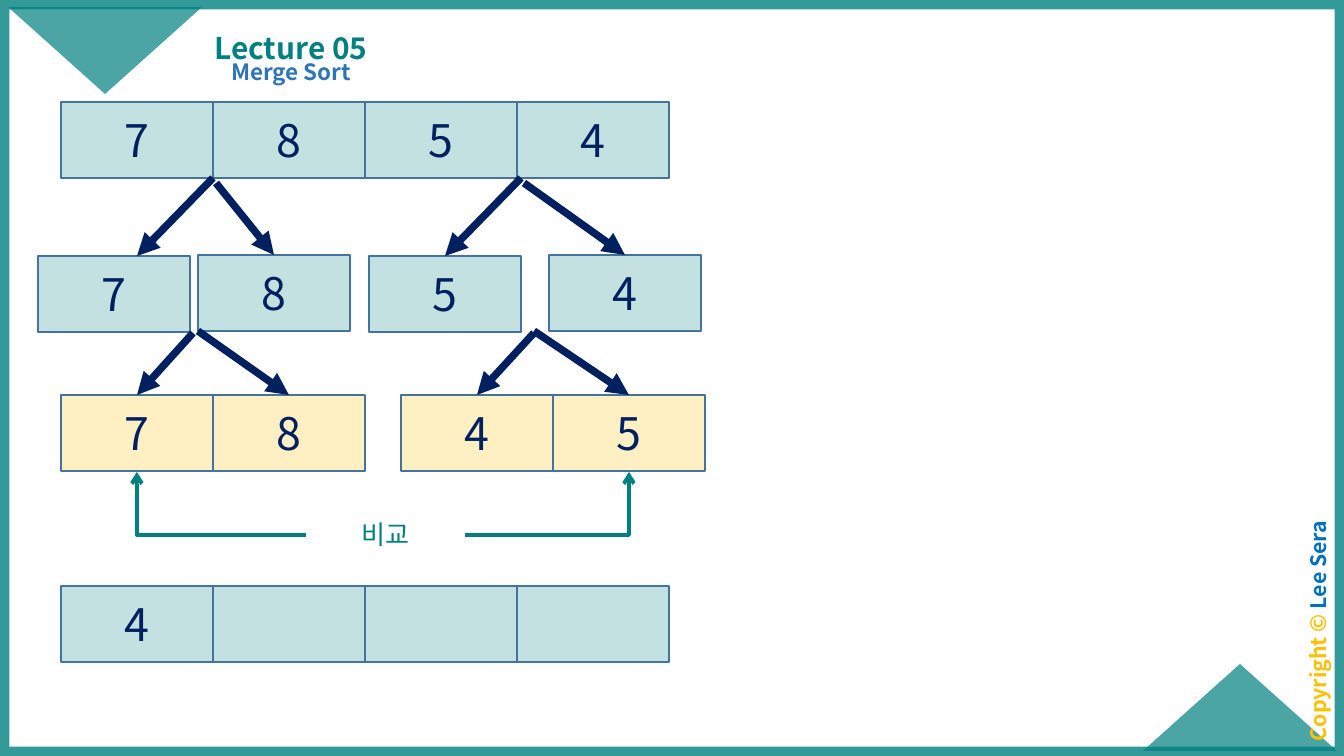
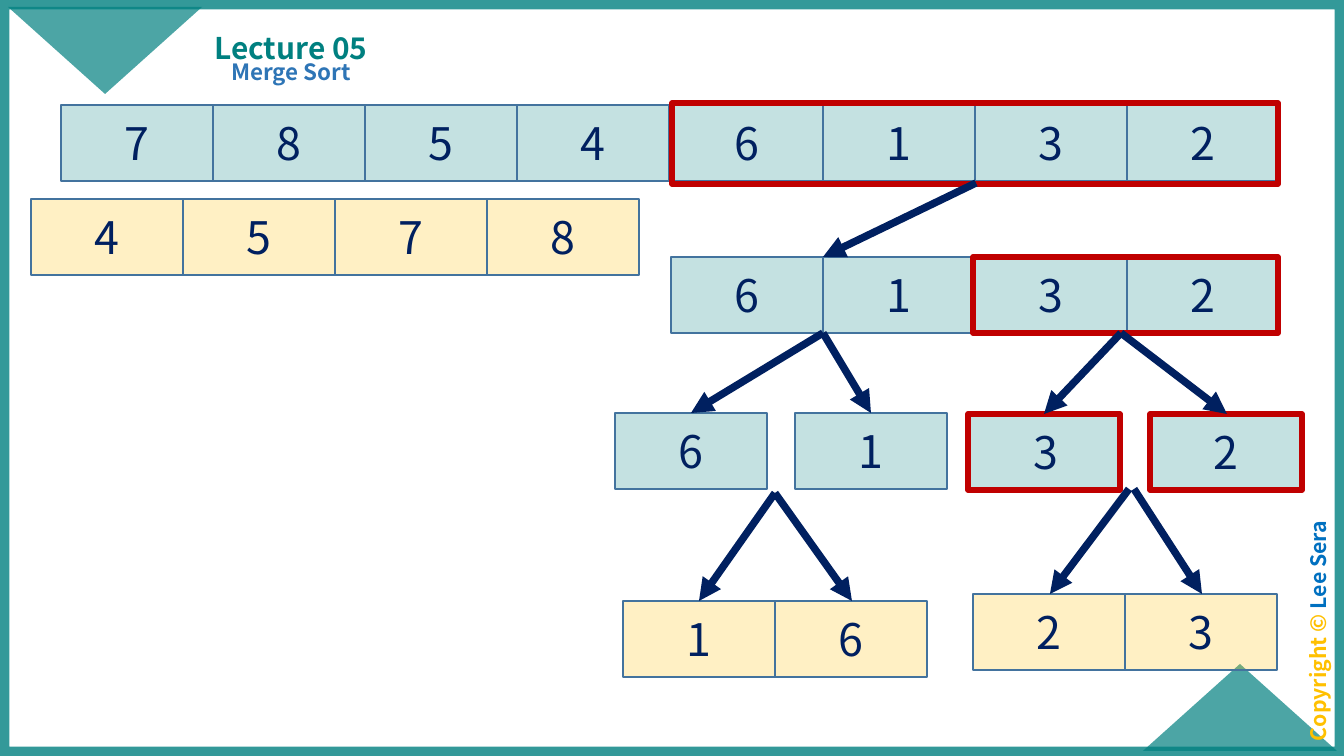
import pptx
import pptx.util
import pptx.dml.color
import pptx.enum.shapes
import pptx.enum.text
import pptx.oxml.ns
from lxml import etree


class Theme:
    font = "Noto Sans CJK KR"
    teal, gold, navy = "008080", "FFC000", "002060"
    edge, red = "43739E", "C00000"
    sub, name = "2E75B6", "0070C0"
    title_pt, sub_pt, copy_pt, cell_pt, note_pt = 16, 12, 11.4, 24, 14


PX = 914400 / 134.4
WIDE, HIGH = 1344, 756
CELL_W, CELL_H = 152, 76
KIND = pptx.enum.shapes.MSO_SHAPE
LINK = pptx.enum.shapes.MSO_CONNECTOR
ANCHOR = pptx.enum.text.MSO_ANCHOR
RGB = pptx.dml.color.RGBColor.from_string
qn = pptx.oxml.ns.qn


def block(slide, kind, area, fill=None, line=None, width=1, alpha=100):
    """Add a preset shape; alpha applies to its fill, or else its line."""
    shape = slide.shapes.add_shape(kind, *[round(n * PX) for n in area])
    shape.shadow.inherit = False
    if fill:
        shape.fill.solid()
        shape.fill.fore_color.rgb = RGB(fill)
    else:
        shape.fill.background()
    if line:
        shape.line.color.rgb = RGB(line)
        shape.line.width = pptx.util.Pt(width)
    else:
        shape.line.fill.background()
    if alpha < 100:
        color = shape._element.spPr.find(".//" + qn("a:srgbClr"))
        etree.SubElement(color, qn("a:alpha"), val=str(alpha * 1000))
    return shape


def style(frame, size, colors, bold=False):
    """Center the only paragraph and format its runs, one color each."""
    frame.word_wrap = True
    para = frame.paragraphs[0]
    para.alignment = pptx.enum.text.PP_ALIGN.CENTER
    for run, color in zip(para.runs, colors):
        run.font.name = Theme.font
        run.font.size = pptx.util.Pt(size)
        run.font.bold = bold
        run.font.color.rgb = RGB(color)
        etree.SubElement(run.font._element, qn("a:ea"), typeface=Theme.font)
    return para


# Each row is x, y, digits, color; a blank is an empty cell
pages = [
    {
        "rows": [
            (61, 102, "7854", Theme.teal),
            (38, 256, "7", Theme.teal), (198, 255, "8", Theme.teal),
            (369, 256, "5", Theme.teal), (549, 255, "4", Theme.teal),
            (61, 395, "78", Theme.gold), (401, 395, "45", Theme.gold),
            (61, 586, "4   ", Theme.teal),
        ],
        "marks": [],
        "arrows": [
            (213, 178, 137, 256), (216, 183, 274, 255),
            (521, 178, 445, 256), (524, 183, 625, 255),
            (193, 333, 137, 395), (198, 331, 289, 395),
            (534, 333, 477, 395), (534, 331, 629, 395),
        ],
        "bends": [(306, 535, 137, 472), (465, 535, 629, 472)],
        "notes": [(306, 512, 159, 46, "비교")],
    },
    {
        "rows": [
            (61, 105, "7854", Theme.teal), (671, 105, "6132", Theme.teal),
            (31, 199, "4578", Theme.gold), (671, 257, "6132", Theme.teal),
            (615, 413, "6", Theme.teal), (795, 413, "1", Theme.teal),
            (970, 414, "3", Theme.teal), (1150, 414, "2", Theme.teal),
            (623, 601, "16", Theme.gold), (973, 594, "23", Theme.gold),
        ],
        "marks": [
            (672, 103, 606, 81), (973, 257, 305, CELL_H),
            (968, 414, CELL_W, CELL_H), (1150, 414, CELL_W, CELL_H),
        ],
        "arrows": [
            (976, 183, 823, 257),
            (823, 333, 691, 413), (823, 333, 871, 413),
            (1121, 333, 1044, 414), (1121, 333, 1227, 414),
            (775, 493, 699, 601), (775, 493, 852, 601),
            (1129, 489, 1050, 594), (1134, 489, 1202, 594),
        ],
        "bends": [],
        "notes": [],
    },
]

deck = pptx.Presentation()
deck.slide_width, deck.slide_height = round(WIDE * PX), round(HIGH * PX)

for page in pages:
    slide = deck.slides.add_slide(deck.slide_layouts[0])

    # Border and corner triangles
    block(slide, KIND.RECTANGLE, (0, 0, WIDE, HIGH),
          line=Theme.teal, width=10, alpha=80)
    for x, y, turn in [(1143, 664, 0), (8, 7, 180)]:
        corner = block(slide, KIND.ISOSCELES_TRIANGLE, (x, y, 194, 87),
                       Theme.teal, alpha=70)
        corner.rotation = turn

    # Title, subtitle and copyright
    credit = slide.shapes.add_textbox(0, 0, 0, 0)
    credit.rotation = 270
    heads = [
        (slide.shapes.title, (188, 8, 206, 63), ["Lecture 05"],
         Theme.title_pt, [Theme.teal], 0.9, 0, ANCHOR.BOTTOM),
        (slide.placeholders[1], (148, 56, 286, 46), ["Merge Sort"],
         Theme.sub_pt, [Theme.sub], 0.9, 7.5, ANCHOR.TOP),
        (credit, (1199, 614, 250, 34), ["Copyright © ", "Lee Sera"],
         Theme.copy_pt, [Theme.gold, Theme.name], 0.7, 10, ANCHOR.TOP),
    ]
    for shape, area, words, size, colors, gap, before, anchor in heads:
        shape.left, shape.top, shape.width, shape.height = [
            round(n * PX) for n in area]
        frame = shape.text_frame
        frame.auto_size = pptx.enum.text.MSO_AUTO_SIZE.NONE
        frame.vertical_anchor = anchor
        frame.margin_left = frame.margin_right = round(10 * PX)
        frame.margin_top = frame.margin_bottom = round(5 * PX)
        for word in words:
            frame.paragraphs[0].add_run().text = word
        para = style(frame, size, colors, True)
        para.line_spacing = gap
        para.space_before = pptx.util.Pt(before)

    # Number cells
    for x, y, digits, color in page["rows"]:
        for i, digit in enumerate(digits):
            cell = block(slide, KIND.RECTANGLE,
                         (x + i * CELL_W, y, CELL_W, CELL_H),
                         color, Theme.edge, alpha=23)
            cell.text_frame.text = digit.strip()
            cell.text_frame.vertical_anchor = ANCHOR.MIDDLE
            style(cell.text_frame, Theme.cell_pt, [Theme.navy])

    # Red outlines
    for area in page["marks"]:
        block(slide, KIND.RECTANGLE, area, line=Theme.red, width=3)

    # Split and merge arrows, then the compare brackets
    for key, kind, color, width, tip in [
        ("arrows", LINK.STRAIGHT, Theme.navy, 4, "triangle"),
        ("bends", LINK.ELBOW, Theme.teal, 2, "arrow"),
    ]:
        for ends in page[key]:
            link = slide.shapes.add_connector(
                kind, *[round(n * PX) for n in ends])
            link.line.color.rgb = RGB(color)
            link.line.width = pptx.util.Pt(width)
            props = link._element.spPr
            etree.SubElement(props.find(qn("a:ln")), qn("a:tailEnd"), type=tip)
            etree.SubElement(props, qn("a:effectLst"))
            if kind == LINK.ELBOW:
                props.find(qn("a:prstGeom")).set("prst", "bentConnector2")

    # Compare label
    for *area, words in page["notes"]:
        note = slide.shapes.add_textbox(*[round(n * PX) for n in area])
        note.text_frame.text = words
        style(note.text_frame, Theme.note_pt, [Theme.teal])

deck.save("out.pptx")
